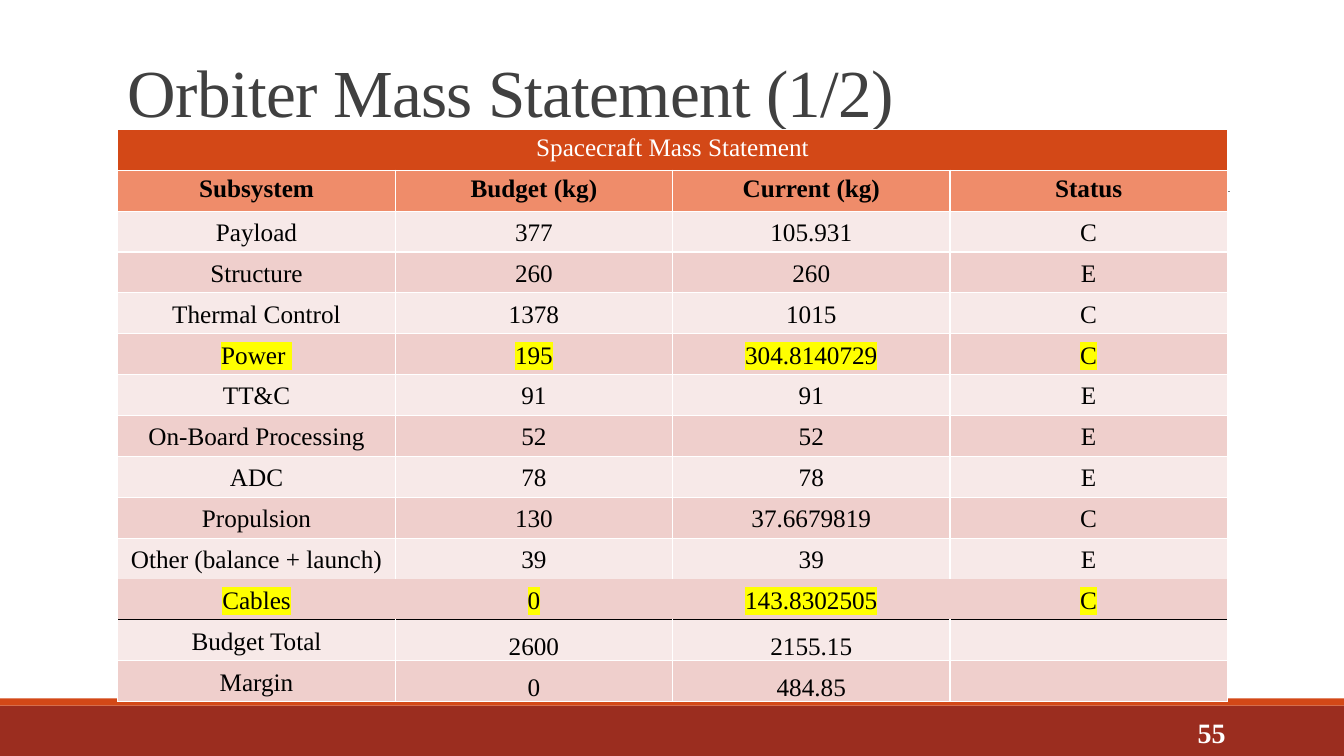
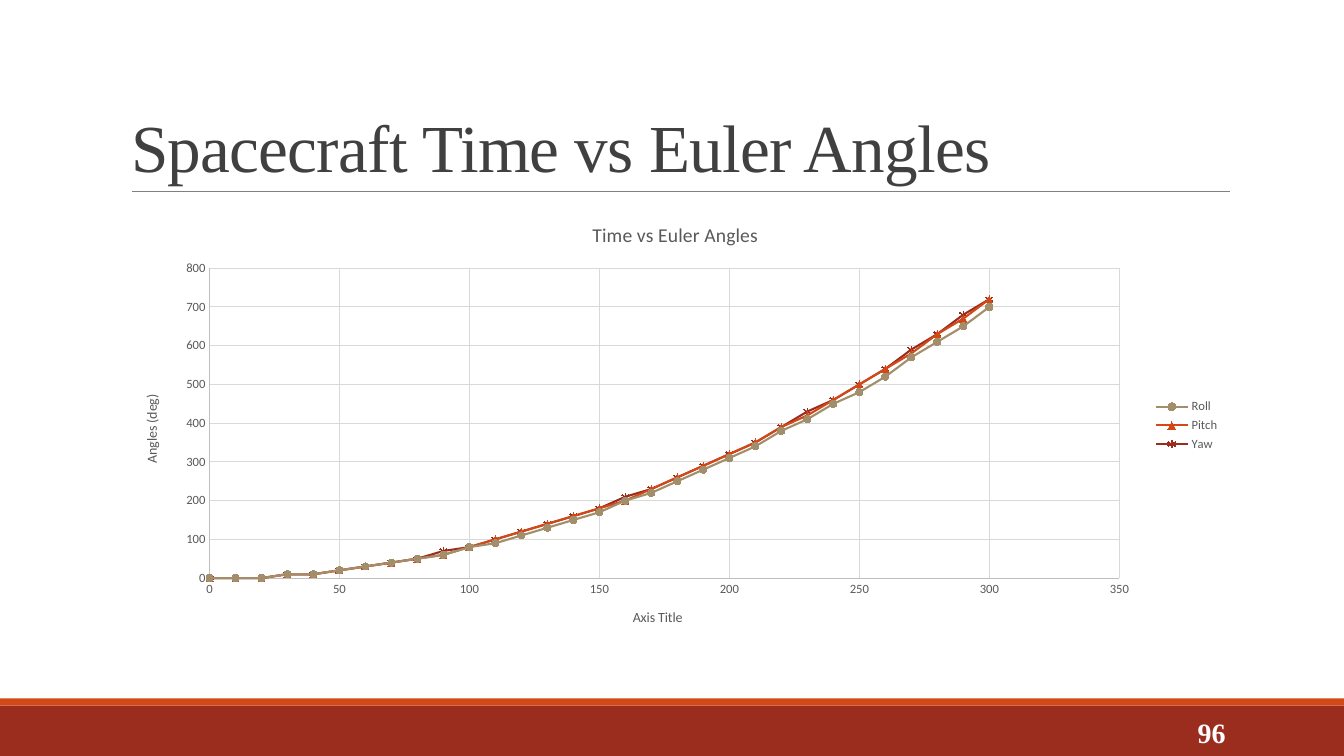
import dataclasses

import lxml.etree
import pptx
import pptx.chart.data
import pptx.dml.color
import pptx.enum.chart
import pptx.enum.shapes
import pptx.enum.text
import pptx.oxml
import pptx.oxml.ns
import pptx.util

Cm, Pt = pptx.util.Cm, pptx.util.Pt
RGB = pptx.dml.color.RGBColor.from_string
qn = pptx.oxml.ns.qn
PP_ALIGN, MSO_ANCHOR = pptx.enum.text.PP_ALIGN, pptx.enum.text.MSO_ANCHOR


@dataclasses.dataclass(frozen=True)
class Theme:
    red: str = "9B2D1F"
    orange: str = "D34817"
    tan: str = "A28E6A"
    peach: str = "EF8C6A"
    light: str = "F7E9E8"
    dark: str = "EFCFCC"
    white: str = "FFFFFF"
    black: str = "000000"
    yellow: str = "FFFF00"
    title: str = "404040"
    rule: str = "808080"
    chart_text: str = "595959"
    axis: str = "BFBFBF"
    grid: str = "D9D9D9"
    serif: str = "Times New Roman"
    sans: str = "Calibri"
    title_size: int = 48
    number_size: int = 20
    table_size: int = 18
    chart_title_size: int = 14
    axis_title_size: int = 10
    label_size: int = 9


T = Theme()


def style_font(font, name, size, color, bold=False):
    font.name, font.size, font.bold = name, Pt(size), bold
    font.color.rgb = RGB(color)


def add_run(tf, text, name, size, color, bold=False, align=None):
    p = tf.paragraphs[0]
    p.alignment = align
    r = p.add_run()
    r.text = text
    style_font(r.font, name, size, color, bold)
    return r


prs = pptx.Presentation()
prs.slide_width, prs.slide_height = Cm(33.87), Cm(19.05)
layout = prs.slide_layouts[5]

slides = []
for title, number, left, top in [
    ("Orbiter Mass Statement (1/2)", "55", 2.97, -0.6),
    ("Spacecraft Time vs Euler Angles", "96", 3.05, 0.79),
]:
    s = prs.slides.add_slide(layout)
    sp = s.shapes.title
    sp.left, sp.top, sp.width, sp.height = Cm(left), Cm(top), Cm(27.94), Cm(4.04)
    tf = sp.text_frame
    tf.auto_size = pptx.enum.text.MSO_AUTO_SIZE.NONE
    tf.vertical_anchor = MSO_ANCHOR.BOTTOM
    r = add_run(tf, title, T.serif, T.title_size, T.title, align=PP_ALIGN.LEFT)
    r._r.get_or_add_rPr().set("spc", "-50")
    tf.paragraphs[0].line_spacing = 0.85

    tf = s.shapes.add_textbox(Cm(27.51), Cm(17.95), Cm(3.63), Cm(1.02)).text_frame
    tf.word_wrap = True
    tf.vertical_anchor = MSO_ANCHOR.MIDDLE
    add_run(tf, number, T.serif, T.number_size, T.white, True, PP_ALIGN.RIGHT)
    slides.append(s)

mass_slide, angle_slide = slides

for top, height, color in [(17.78, 1.27, T.red), (17.6, 0.18, T.orange)]:
    band = mass_slide.shapes.add_shape(
        pptx.enum.shapes.MSO_SHAPE.RECTANGLE, 0, Cm(top), prs.slide_width, Cm(height))
    band.shadow.inherit = False
    band.fill.solid()
    band.fill.fore_color.rgb = RGB(color)
    band.line.fill.background()
    layout.shapes.element.append(band.element)

rule = mass_slide.shapes.add_connector(
    pptx.enum.shapes.MSO_CONNECTOR.STRAIGHT, Cm(3.33), Cm(4.83), Cm(31), Cm(4.83))
rule.line.color.rgb = RGB(T.rule)
rule.line.width = Pt(0.5)
lxml.etree.SubElement(rule.element.spPr, qn("a:effectLst"))
layout.shapes.element.append(rule.element)

rows = [
    ["Spacecraft Mass Statement", "", "", ""],
    ["Subsystem", "Budget (kg)", "Current (kg)", "Status"],
    ["Payload", "377", "105.931", "C"],
    ["Structure", "260", "260", "E"],
    ["Thermal Control", "1378", "1015", "C"],
    ["Power ", "195", "304.8140729", "C"],
    ["TT&C", "91", "91", "E"],
    ["On-Board Processing", "52", "52", "E"],
    ["ADC", "78", "78", "E"],
    ["Propulsion", "130", "37.6679819", "C"],
    ["Other (balance + launch)", "39", "39", "E"],
    ["Cables", "0", "143.8302505", "C"],
    ["Budget Total", "2600", "2155.15", ""],
    ["Margin", "0", "484.85", ""],
]
highlighted = {"Power ", "Cables"}
totals = {"Budget Total", "Margin"}
white_edges = dict.fromkeys("LRTB", T.white)
special_edges = {
    "Other (balance + launch)": {**white_edges, "B": None},
    "Cables": {**dict.fromkeys("LRT"), "B": T.black},
    "Budget Total": {**white_edges, "T": T.black},
}

table = mass_slide.shapes.add_table(
    len(rows), 4, Cm(2.97), Cm(3.26), Cm(27.96), Cm(14.42)).table
table.first_row = table.horz_banding = False
for column in table.columns:
    column.width = Cm(6.99)
for i, row in enumerate(rows):
    table.rows[i].height = Cm(1.03)
    name = row[0]
    fill = [T.orange, T.peach][i] if i < 2 else [T.light, T.dark][i % 2]
    for j, text in enumerate(row):
        cell = table.cell(i, j)
        cell.fill.solid()
        cell.fill.fore_color.rgb = RGB(fill)
        if i > 1:
            cell.vertical_anchor = MSO_ANCHOR.BOTTOM
            cell.margin_left = cell.margin_right = cell.margin_top = Cm(0.03)
            cell.margin_bottom = Cm(0 if name in totals and j else 0.13)
        if text:
            r = add_run(cell.text_frame, text, T.serif, T.table_size,
                        T.black if i else T.white, i == 1, PP_ALIGN.CENTER)
            if name in highlighted:
                mark = lxml.etree.Element(qn("a:highlight"))
                lxml.etree.SubElement(mark, qn("a:srgbClr"), val=T.yellow)
                r._r.get_or_add_rPr().find(qn("a:solidFill")).addnext(mark)
        edges = special_edges.get(name, white_edges)
        for k, side in enumerate("LRTB"):
            ln = lxml.etree.Element(qn("a:ln" + side), w=str(Pt(1)))
            if edges[side]:
                paint = lxml.etree.SubElement(ln, qn("a:solidFill"))
                lxml.etree.SubElement(paint, qn("a:srgbClr"), val=edges[side])
            else:
                lxml.etree.SubElement(ln, qn("a:noFill"))
            cell._tc.get_or_add_tcPr().insert(k, ln)
table.cell(0, 0).merge(table.cell(0, 3))

MARKER = pptx.enum.chart.XL_MARKER_STYLE
curves = [
    ("Roll", 698, T.tan, MARKER.CIRCLE),
    ("Pitch", 720, T.orange, MARKER.TRIANGLE),
    ("Yaw", 724, T.red, MARKER.STAR),
]
data = pptx.chart.data.XyChartData()
for name, peak, color, marker in curves:
    series = data.add_series(name)
    for time in range(0, 301, 10):
        series.add_data_point(time, int(round(peak * (time / 300) ** 2, -1)))

left, top, width, height = 3.05, 5.13, 27.94, 11.18
chart = angle_slide.shapes.add_chart(
    pptx.enum.chart.XL_CHART_TYPE.XY_SCATTER_LINES,
    Cm(left), Cm(top), Cm(width), Cm(height), data).chart
style_font(chart.font, T.sans, T.axis_title_size, T.black)
chart.has_title = True
add_run(chart.chart_title.text_frame, "Time vs Euler Angles",
        T.sans, T.chart_title_size, T.chart_text)
chart.chart_title.include_in_layout = False
chart.has_legend = True
chart.legend.position = pptx.enum.chart.XL_LEGEND_POSITION.RIGHT
chart.legend.include_in_layout = False
style_font(chart.legend.font, T.sans, T.label_size, T.chart_text)

for axis, title, limit, step in [
    (chart.category_axis, "Axis Title", 350, 50),
    (chart.value_axis, "Angles (deg)", 800, 100),
]:
    axis.minimum_scale, axis.maximum_scale, axis.major_unit = 0, limit, step
    axis.major_tick_mark = axis.minor_tick_mark = pptx.enum.chart.XL_TICK_MARK.NONE
    axis.has_major_gridlines = True
    for line, color in [(axis.format.line, T.axis), (axis.major_gridlines.format.line, T.grid)]:
        line.color.rgb = RGB(color)
        line.width = Pt(0.75)
    style_font(axis.tick_labels.font, T.sans, T.label_size, T.chart_text)
    add_run(axis.axis_title.text_frame, title, T.sans, T.axis_title_size, T.chart_text)
body = chart.value_axis.axis_title.text_frame._txBody.bodyPr
body.set("rot", "-5400000")
body.set("vert", "horz")

plot = chart.plots[0]
plot.vary_by_categories = False
for series, (name, peak, color, marker) in zip(plot.series, curves):
    series.format.line.color.rgb = RGB(color)
    series.format.line.width = Pt(1.5)
    series.marker.style, series.marker.size = marker, 5
    series.marker.format.fill.solid()
    series.marker.format.fill.fore_color.rgb = RGB(color)
    series.marker.format.line.color.rgb = RGB(color)

area = chart.element.find(".//" + qn("c:plotArea"))
for old in area.findall(qn("c:layout")):
    area.remove(old)
frame = lxml.etree.Element(qn("c:layout"))
manual = lxml.etree.SubElement(frame, qn("c:manualLayout"))
for tag, value in [("layoutTarget", "inner"), ("xMode", "edge"), ("yMode", "edge"),
                   ("x", (5.28 - left) / width), ("y", (6.76 - top) / height),
                   ("w", 22.93 / width), ("h", 7.81 / height)]:
    lxml.etree.SubElement(manual, qn("c:" + tag), val=str(value))
area.insert(0, frame)

prs.save("out.pptx")
